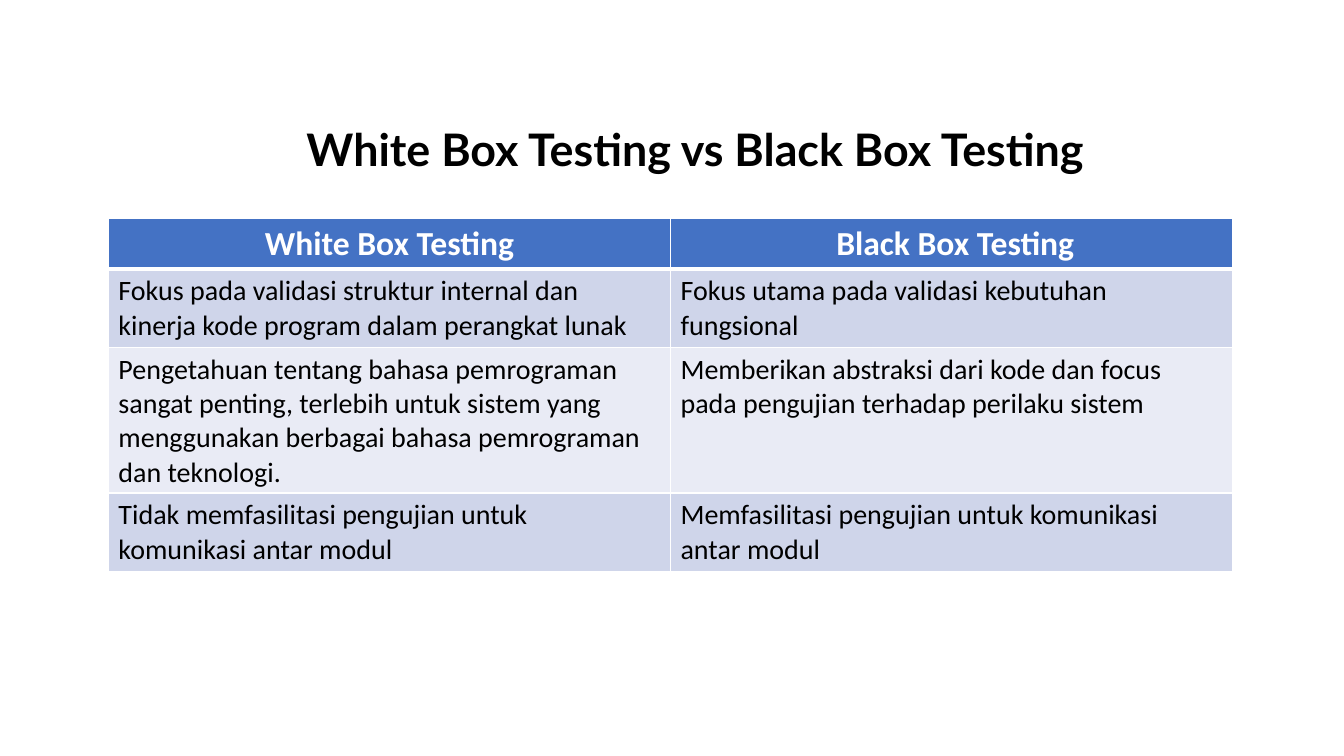
from dataclasses import dataclass

from lxml.etree import SubElement
from pptx import Presentation
from pptx.dml.color import RGBColor as RGB
from pptx.enum.text import MSO_ANCHOR as Anchor, PP_ALIGN as Align
from pptx.oxml.ns import qn
from pptx.slide import Slide
from pptx.table import Table, _Cell as Cell
from pptx.text.text import TextFrame
from pptx.util import Pt


@dataclass(frozen=True)
class Theme:
    title_font: str = "Lato"
    body_font: str = "Calibri"
    title_size: int = 32
    header_size: int = 24
    body_size: int = 20
    black: str = "000000"
    white: str = "FFFFFF"
    header_fill: str = "4472C4"
    bands: tuple[str, str] = ("CFD5EA", "E9EBF5")
    rule: int = 1
    header_rule: int = 3


@dataclass(frozen=True)
class TextStyle:
    font: str
    size: int
    color: str
    bold: bool = False
    align: Align = Align.LEFT
    line_spacing: float = 1.0


@dataclass(frozen=True)
class Row:
    height: float
    white_box: str
    black_box: str


THEME = Theme()
TITLE = TextStyle(THEME.title_font, THEME.title_size, THEME.black, True, Align.CENTER, 0.9)
HEADER = TextStyle(THEME.body_font, THEME.header_size, THEME.white, True, Align.CENTER)
BODY = TextStyle(THEME.body_font, THEME.body_size, THEME.black)

ROWS = [
    Row(36, "White Box Testing", " Black Box Testing"),
    Row(56,
        "Fokus pada validasi struktur internal dan kinerja kode program dalam perangkat lunak",
        "Fokus utama pada validasi kebutuhan fungsional"),
    Row(104,
        "Pengetahuan tentang bahasa pemrograman sangat penting, terlebih untuk sistem "
        "yang menggunakan berbagai bahasa pemrograman dan teknologi.",
        "Memberikan abstraksi dari kode dan focus pada pengujian terhadap perilaku sistem"),
    Row(56,
        "Tidak memfasilitasi pengujian untuk komunikasi antar modul",
        "Memfasilitasi pengujian untuk komunikasi antar modul"),
]


def write(tf: TextFrame, text: str, style: TextStyle) -> None:
    p = tf.paragraphs[0]
    p.alignment = style.align
    p.line_spacing = style.line_spacing
    r = p.add_run()
    r.text = text
    font = {"name": style.font, "size": Pt(style.size), "bold": style.bold}
    for name, value in font.items():
        setattr(r.font, name, value)
    r.font.color.rgb = RGB.from_string(style.color)


def set_borders(cell: Cell, widths: dict[str, int]) -> None:
    """Draw white cell borders; call before the fill, which must follow them in the XML."""
    tc_pr = cell._tc.get_or_add_tcPr()
    for side, width in widths.items():
        ln = SubElement(tc_pr, qn(f"a:ln{side}"), w=str(Pt(width)))
        fill = SubElement(ln, qn("a:solidFill"))
        SubElement(fill, qn("a:srgbClr"), val=THEME.white)


def fill_row(table: Table, index: int, row: Row) -> None:
    is_header = index == 0
    color = THEME.header_fill if is_header else THEME.bands[(index - 1) % 2]
    borders = {
        "L": THEME.rule,
        "R": THEME.rule,
        "T": THEME.header_rule if index == 1 else THEME.rule,
        "B": THEME.header_rule if is_header else THEME.rule,
    }
    table.rows[index].height = Pt(row.height)
    for column, text in enumerate((row.white_box, row.black_box)):
        cell = table.cell(index, column)
        set_borders(cell, borders)
        cell.fill.solid()
        cell.fill.fore_color.rgb = RGB.from_string(color)
        write(cell.text_frame, text, HEADER if is_header else BODY)


def add_title(slide: Slide, text: str) -> None:
    tf = slide.shapes.add_textbox(Pt(113), Pt(76.3), Pt(767.5), Pt(64)).text_frame
    tf.word_wrap = True
    tf.vertical_anchor = Anchor.MIDDLE
    write(tf, text, TITLE)


def add_comparison(slide: Slide, rows: list[Row]) -> None:
    height = sum(row.height for row in rows)
    table = slide.shapes.add_table(
        len(rows), 2, Pt(77.4), Pt(156.2), Pt(803), Pt(height)).table
    for index, row in enumerate(rows):
        fill_row(table, index, row)


def main() -> None:
    prs = Presentation()
    prs.slide_width, prs.slide_height = Pt(960), Pt(540)
    slide = prs.slides.add_slide(prs.slide_layouts[6])
    add_title(slide, "White Box Testing vs Black Box Testing")
    add_comparison(slide, ROWS)
    prs.save("out.pptx")


if __name__ == "__main__":
    main()
